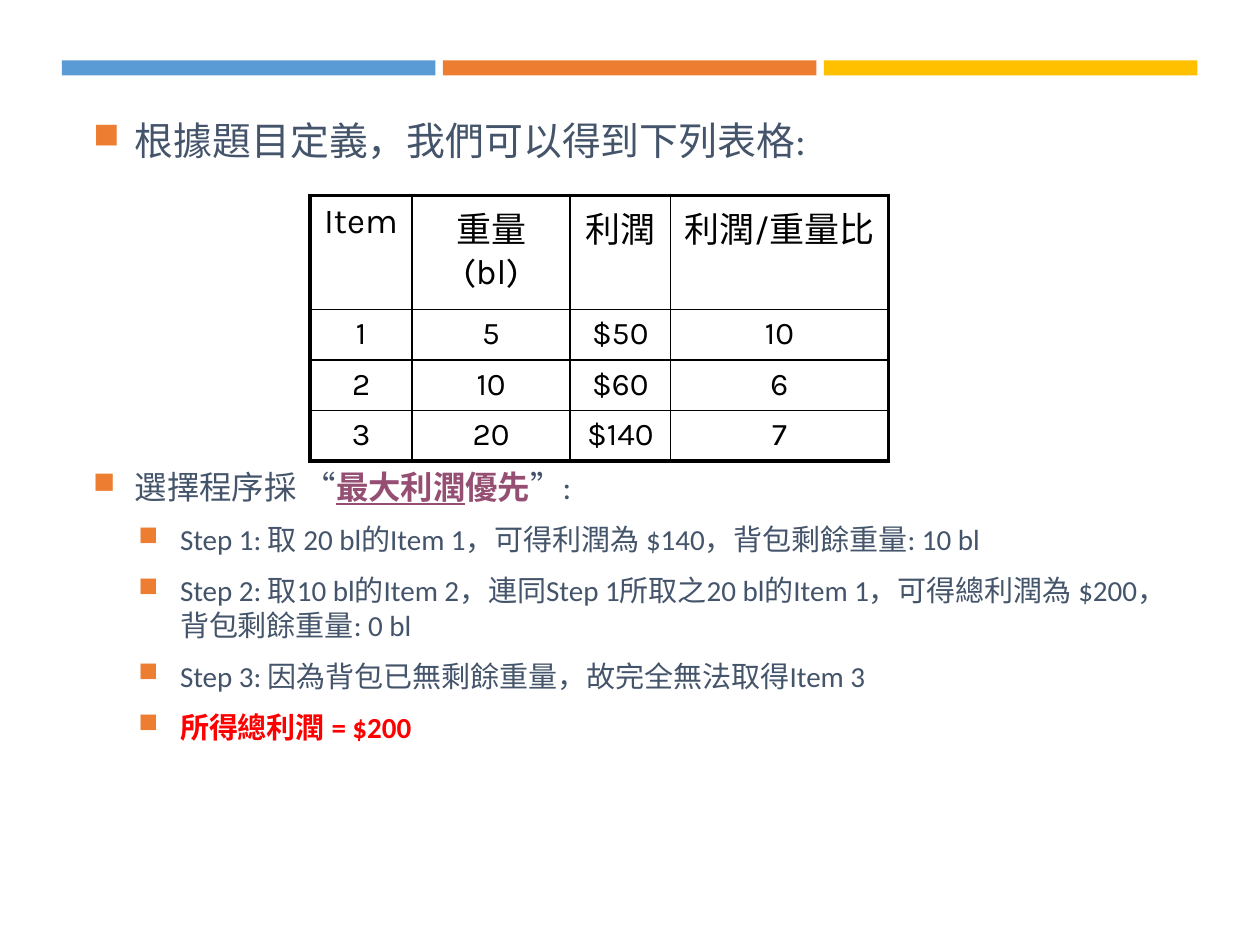
from lxml import etree
from pptx import Presentation
from pptx.dml.color import RGBColor
from pptx.enum.shapes import MSO_SHAPE
from pptx.enum.text import PP_ALIGN
from pptx.oxml.ns import qn
from pptx.util import Cm, Pt

RECTANGLE = MSO_SHAPE.RECTANGLE
CENTER = PP_ALIGN.CENTER
COLORS = {
    "blue": "5B9BD5", "orange": "ED7D31", "yellow": "FFC000",
    "slate": "44546A", "plum": "954F72", "red": "FF0000", "black": "000000",
}


def add_span(para, text, size, color="slate", font="Calibri", bold=False, underline=False):
    span = para.add_run()
    span.text = text
    span.font.name = font
    span.font.size = Pt(size)
    span.font.bold = bold
    span.font.underline = underline
    span.font.color.rgb = RGBColor.from_string(COLORS[color])


def format_bullet(para, level, size):
    para.level = level
    properties = para._p.get_or_add_pPr()
    properties.set("marL", str(Cm(0.84 + 0.91 * level)))
    properties.set("indent", str(Cm(-0.84)))
    para.line_spacing = Pt(round(size * 1.2))
    para.space_after = Pt(6)
    bullet_color = etree.SubElement(properties, qn("a:buClr"))
    etree.SubElement(bullet_color, qn("a:srgbClr"), val=COLORS["orange"])
    etree.SubElement(properties, qn("a:buSzPct"), val="92000")
    etree.SubElement(properties, qn("a:buChar"), char="■")


deck = Presentation()
deck.slide_width, deck.slide_height = Cm(25.4), Cm(19.05)
page = deck.slides.add_slide(deck.slide_layouts[6])

# Colour bars across the top
for index, color in enumerate(("blue", "orange", "yellow")):
    bar = page.shapes.add_shape(RECTANGLE, Cm(1.25 + 7.68 * index), Cm(1.22), Cm(7.53), Cm(0.3))
    bar.shadow.inherit = False
    bar.fill.solid()
    bar.fill.fore_color.rgb = RGBColor.from_string(COLORS[color])
    bar.line.fill.background()

# Bulleted text above and below the table: level, size, spans
introduction = [(0, 22.2, [("根據題目定義，我們可以得到下列表格:", {})])]
procedure = [
    (0, 18.5, [
        ("選擇程序採 “", {}),
        ("最大利潤", {"color": "plum", "bold": True, "underline": True}),
        ("優先", {"color": "plum", "bold": True}),
        ("”:", {}),
    ]),
    (1, 16.6, [("Step 1: 取 20 bl的Item 1，可得利潤為 $140，背包剩餘重量: 10 bl", {})]),
    (1, 16.6, [("Step 2: 取10 bl的Item 2，連同Step 1所取之20 bl的Item 1，"
                "可得總利潤為 $200，背包剩餘重量: 0 bl", {})]),
    (1, 16.6, [("Step 3: 因為背包已無剩餘重量，故完全無法取得Item 3", {})]),
    (1, 16.6, [("所得總利潤 = $200", {"color": "red", "bold": True})]),
]
for top, height, bullets in ((2.34, 1.2, introduction), (9.42, 6.8, procedure)):
    box = page.shapes.add_textbox(Cm(1.63), Cm(top), Cm(22.2), Cm(height))
    frame = box.text_frame
    frame.word_wrap = True
    frame.margin_top = frame.margin_bottom = 0
    for index, (level, size, spans) in enumerate(bullets):
        para = frame.add_paragraph() if index else frame.paragraphs[0]
        format_bullet(para, level, size)
        if index:
            para.space_before = Pt(3)
        for text, style in spans:
            add_span(para, text, size, **style)

# Item table
rows = [
    ("Item", "重量 (bl)", "利潤", "利潤/重量比"),
    ("1", "5", "$50", "10"),
    ("2", "10", "$60", "6"),
    ("3", "20", "$140", "7"),
]
widths = (2.06, 3.18, 2.03, 4.39)
heights = (2.3, 1, 1, 1)
table = page.shapes.add_table(
    len(rows), len(widths), Cm(6.25), Cm(3.94), Cm(sum(widths)), Cm(sum(heights))
).table
for column, width in zip(table.columns, widths):
    column.width = Cm(width)
for row_index, values in enumerate(rows):
    table.rows[row_index].height = Cm(heights[row_index])
    for column_index, value in enumerate(values):
        cell = table.cell(row_index, column_index)
        para = cell.text_frame.paragraphs[0]
        para.alignment = CENTER
        add_span(para, value, 18 if row_index else 20, color="black", font="Karla")

        # Heavy outer frame, thin inner grid
        properties = cell._tc.get_or_add_tcPr()
        outer_edges = {
            "a:lnL": column_index == 0,
            "a:lnR": column_index == len(widths) - 1,
            "a:lnT": row_index == 0,
            "a:lnB": row_index == len(rows) - 1,
        }
        for edge, is_outer in outer_edges.items():
            border = etree.SubElement(properties, qn(edge), w=str(Pt(2.25 if is_outer else 1)))
            fill = etree.SubElement(border, qn("a:solidFill"))
            etree.SubElement(fill, qn("a:srgbClr"), val=COLORS["black"])
        cell.fill.background()

deck.save("out.pptx")
